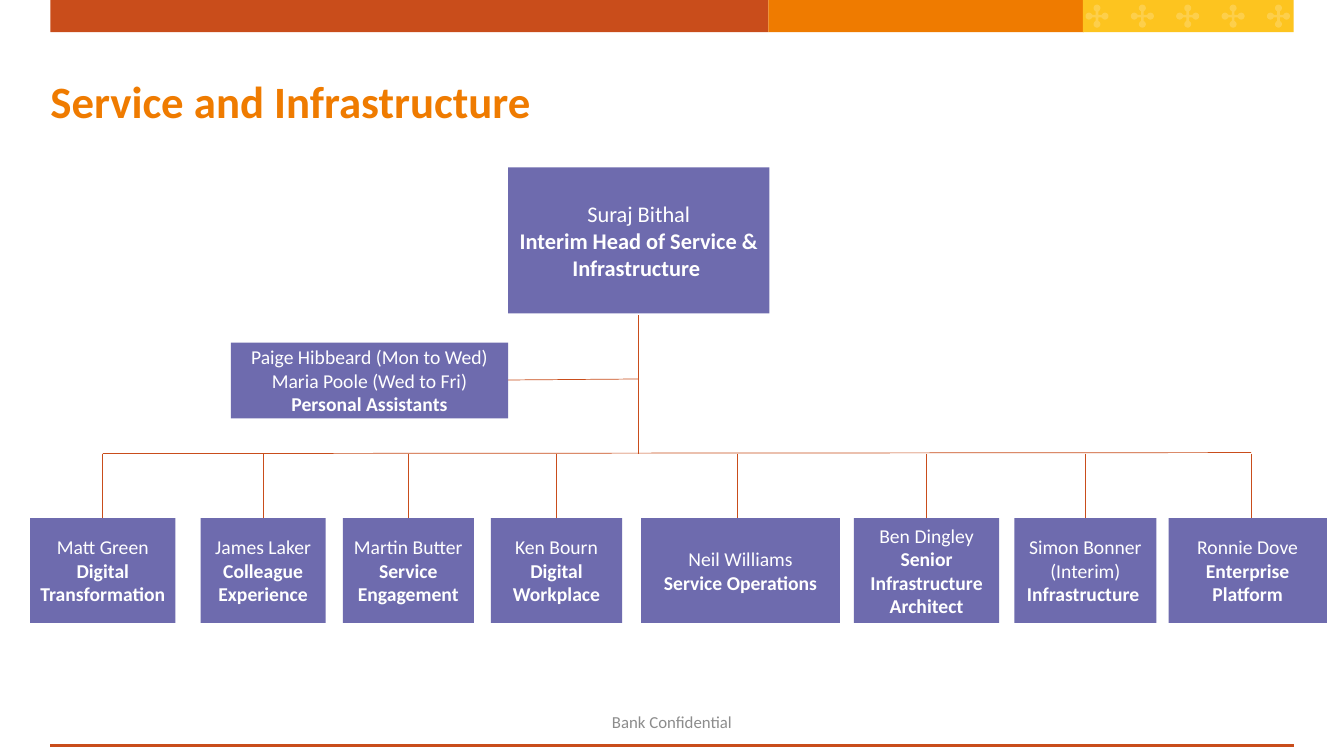
from math import cos, radians, sin

from lxml import etree
from pptx import Presentation
from pptx.dml.color import RGBColor
from pptx.enum.shapes import MSO_CONNECTOR, MSO_SHAPE
from pptx.enum.text import MSO_ANCHOR, PP_ALIGN
from pptx.oxml.ns import qn
from pptx.util import Pt

RECTANGLE = MSO_SHAPE.RECTANGLE
STRAIGHT = MSO_CONNECTOR.STRAIGHT
MIDDLE = MSO_ANCHOR.MIDDLE
LEFT, CENTER = PP_ALIGN.LEFT, PP_ALIGN.CENTER

PX = 9144
SLIDE_SIZE = (1333, 750)
COLORS = {
    "rust": "C94D1B",
    "orange": "EF7B00",
    "yellow": "FDC41F",
    "violet": "6E6BAE",
    "white": "FFFFFF",
    "grey": "8C8C8C",
}
FORMATS = {
    "title": {"size": Pt(32), "bold": True, "color": "orange"},
    "footer": {"size": Pt(12), "bold": False, "color": "grey"},
    "head": {"size": Pt(16), "bold": False, "color": "white"},
    "head role": {"size": Pt(16), "bold": True, "color": "white"},
    "person": {"size": Pt(14), "bold": False, "color": "white"},
    "role": {"size": Pt(14), "bold": True, "color": "white"},
}

BANNER = [(50, 712, "rust"), (762, 313, "orange"), (1074, 209, "yellow")]
BANNER_HEIGHT = 32
CROSS = {"first": 1088, "pitch": 45, "count": 5, "middle": 16}
CROSS_TENTHS = {"reach": 80, "radius": 34, "arm": 13}

TITLE = ((50, 50, 1233, 100), [[("Service and Infrastructure", "title")]])
FOOTER = ((333, 695, 667, 42), [[("Bank Confidential", "footer")]])
LEADERS = [
    ((504, 166, 259, 145), [
        [("Suraj Bithal", "head")],
        [("Interim Head of Service & Infrastructure ", "head role")],
    ]),
    ((229, 340, 275, 75), [
        [("Paige Hibbeard (Mon to Wed)", "person")],
        [("Maria Poole (Wed to Fri)", "person")],
        [("Personal Assistants", "role")],
    ]),
]
REPORT_TOP, REPORT_HEIGHT = 514, 104
REPORTS = [
    (30, 144, 102, [[("Matt Green", "person")], [("Digital Transformation", "role")]]),
    (199, 124, 261, [[("James Laker", "person")], [("Colleague Experience", "role")]]),
    (340, 130, 405, [[("Martin Butter", "person")], [("Service Engagement", "role")]]),
    (487, 130, 552, [[("Ken Bourn", "person")], [("Digital Workplace", "role")]]),
    (636, 197, 731, [[("Neil Williams", "person")], [("Service Operations", "role")]]),
    (847, 144, 919, [[("Ben Dingley", "person")],
                     [("Senior Infrastructure Architect", "role")]]),
    (1006, 141, 1076, [[("Simon Bonner", "person")],
                       [("(Interim) ", "person"), ("Infrastructure ", "role")]]),
    (1159, 157, 1241, [[("Ronnie Dove", "person"), (" Enterprise Platform", "role")]]),
]
BUS_TOP = 450
SPINE = 633
BRANCHES = [
    (SPINE, 313, SPINE, BUS_TOP),
    (504, 377, SPINE, 376),
    (REPORTS[0][2], BUS_TOP, REPORTS[-1][2], BUS_TOP - 1),
]
FOOTER_RULE = (50, 740, 1283, 740)


def color(name):
    return RGBColor.from_string(COLORS[name])


def emu(lengths):
    return [length * PX for length in lengths]


def paint(shape, fill):
    shape.shadow.inherit = False
    shape.fill.solid()
    shape.fill.fore_color.rgb = color(fill)
    shape.line.fill.background()


def add_box(slide, place, fill):
    shape = slide.shapes.add_shape(RECTANGLE, *emu(place))
    paint(shape, fill)
    return shape


def write(shape, paragraphs, alignment, inset):
    frame = shape.text_frame
    frame.word_wrap = True
    frame.vertical_anchor = MIDDLE
    frame.margin_left = frame.margin_right = inset * PX
    for index, runs in enumerate(paragraphs):
        paragraph = frame.add_paragraph() if index else frame.paragraphs[0]
        paragraph.alignment = alignment
        for text, style in runs:
            run = paragraph.add_run()
            run.text = text
            run.font.name = "Calibri"
            for name, value in FORMATS[style].items():
                if name == "color":
                    run.font.color.rgb = color(value)
                else:
                    setattr(run.font, name, value)


def add_line(slide, ends, width):
    line = slide.shapes.add_connector(STRAIGHT, *emu(ends))
    line.line.color.rgb = color("rust")
    line.line.width = Pt(width)
    etree.SubElement(line._element.spPr, qn("a:effectLst"))


def cross_points(center_x, center_y):
    reach, radius, arm = CROSS_TENTHS.values()
    petal = [(reach + radius * cos(radians(angle)), radius * sin(radians(angle)))
             for angle in range(-157, 158, 15)]
    outline = [(arm, -arm), (reach - radius, -arm), *petal, (reach - radius, arm)]
    points = []
    for turn in range(0, 360, 90):
        across, down = cos(radians(turn)), sin(radians(turn))
        points += [(center_x * 10 + x * across - y * down,
                    center_y * 10 + x * down + y * across) for x, y in outline]
    return points


def add_cross(slide, center_x):
    points = cross_points(center_x, CROSS["middle"])
    builder = slide.shapes.build_freeform(*points[0], scale=PX / 10)
    builder.add_line_segments(points[1:], close=True)
    cross = builder.convert_to_shape()
    paint(cross, "white")
    shade = cross._element.spPr.find(".//" + qn("a:srgbClr"))
    etree.SubElement(shade, qn("a:alpha"), val="20000")


def main():
    presentation = Presentation()
    presentation.slide_width, presentation.slide_height = emu(SLIDE_SIZE)
    slide = presentation.slides.add_slide(presentation.slide_layouts[6])

    for left, width, fill in BANNER:
        add_box(slide, (left, 0, width, BANNER_HEIGHT), fill)
    for index in range(CROSS["count"]):
        add_cross(slide, CROSS["first"] + index * CROSS["pitch"])
    add_line(slide, FOOTER_RULE, 2.25)

    for (place, paragraphs), alignment, inset in ((TITLE, LEFT, 0), (FOOTER, CENTER, 10)):
        write(slide.shapes.add_textbox(*emu(place)), paragraphs, alignment, inset)

    for ends in BRANCHES:
        add_line(slide, ends, 0.5)
    for left, width, drop, paragraphs in REPORTS:
        add_line(slide, (drop, BUS_TOP, drop, REPORT_TOP), 0.5)
        box = add_box(slide, (left, REPORT_TOP, width, REPORT_HEIGHT), "violet")
        write(box, paragraphs, CENTER, 9)
    for place, paragraphs in LEADERS:
        write(add_box(slide, place, "violet"), paragraphs, CENTER, 10)

    presentation.save("out.pptx")


if __name__ == "__main__":
    main()
